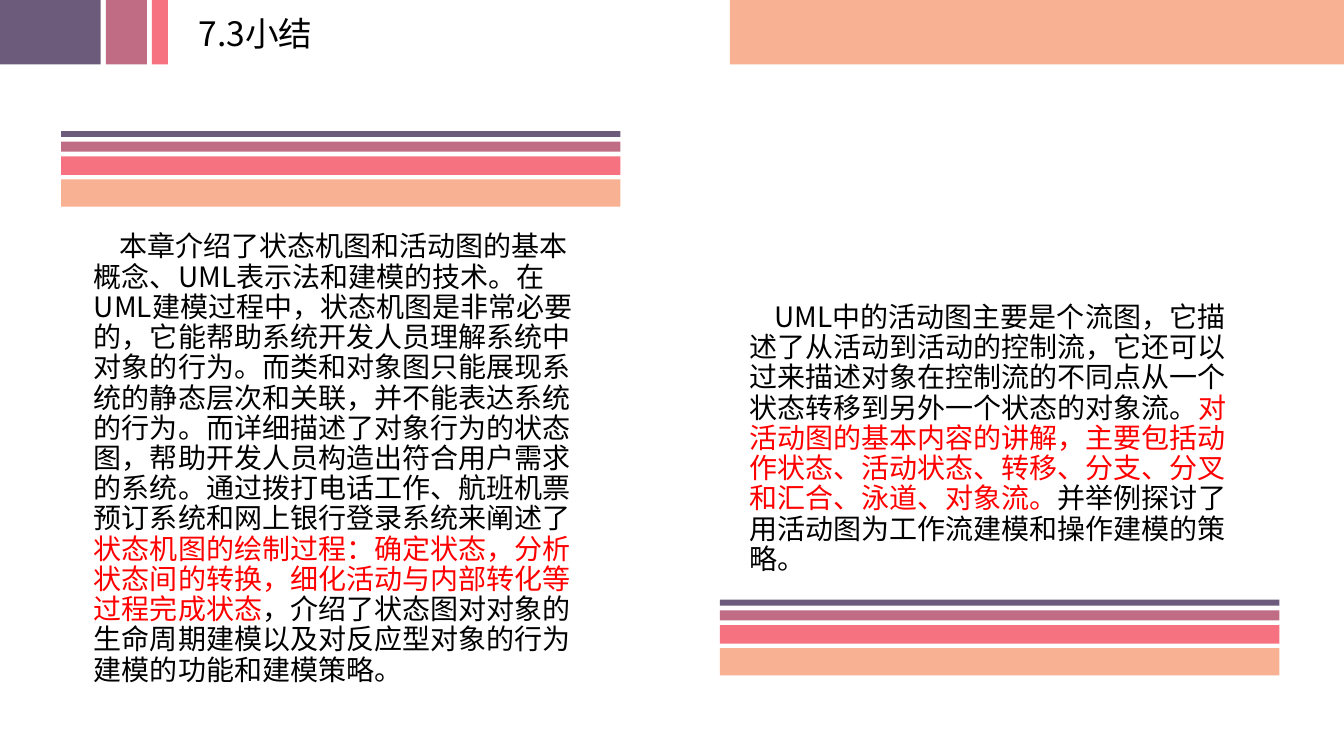
from dataclasses import dataclass
from typing import NamedTuple

from pptx import Presentation
from pptx import util as u
from pptx.dml import color
from pptx.enum import shapes, text
from pptx.oxml import ns


@dataclass(frozen=True)
class Theme:
    purple: str = "6C5B7B"
    mauve: str = "C06C84"
    pink: str = "F67280"
    peach: str = "F8B193"
    ink: str = "000000"
    accent: str = "FF0000"
    font: str = "Noto Sans CJK SC"
    title: int = 24
    body: int = 20


class Box(NamedTuple):
    col: float
    row: float
    cols: float
    rows: float


class Bar(NamedTuple):
    size: float
    fill: str


class Run(NamedTuple):
    words: str
    ink: str


class Summary(NamedTuple):
    box: Box
    stripes_col: float
    stripes_row: float
    runs: list[Run]


T = Theme()
COLS, ROWS = 160, 90
HEADER_ROWS, HEADER_GAP = 7.68, 0.6
STRIPE_COLS, STRIPE_GAP = 66.6, 0.55
TEXT_COLS = 62
INDENT_COLS = 3

HEADER = [Bar(12, T.purple), Bar(4.9, T.mauve), Bar(1.9, T.pink)]
STRIPES = [Bar(0.72, T.purple), Bar(1.2, T.mauve), Bar(2.2, T.pink), Bar(3.25, T.peach)]

SUMMARIES = [
    Summary(Box(10, 27.1, TEXT_COLS, 58.9), 7.27, 15.6, [
        Run("本章介绍了状态机图和活动图的基本概念、UML表示法和建模的技术。"
            "在UML建模过程中，状态机图是非常必要的，它能帮助系统开发人员理解系统中对象的行为。"
            "而类和对象图只能展现系统的静态层次和关联，并不能表达系统的行为。"
            "而详细描述了对象行为的状态图，帮助开发人员构造出符合用户需求的系统。"
            "通过拨打电话工作、航班机票预订系统和网上银行登录系统来阐述了", T.ink),
        Run("状态机图的绘制过程：确定状态，分析状态间的转换，"
            "细化活动与内部转化等过程完成状态", T.accent),
        Run("，介绍了状态图对对象的生命周期建模以及对反应型对象的行为建模的功能和建模策略。", T.ink),
    ]),
    Summary(Box(88, 35.5, TEXT_COLS, 37.2), 85.7, 71.4, [
        Run("UML中的活动图主要是个流图，它描述了从活动到活动的控制流，"
            "它还可以过来描述对象在控制流的不同点从一个状态转移到另外一个状态的对象流。", T.ink),
        Run("对活动图的基本内容的讲解，主要包括动作状态、活动状态、转移、分支、"
            "分叉和汇合、泳道、对象流。", T.accent),
        Run("并举例探讨了用活动图为工作流建模和操作建模的策略。", T.ink),
    ]),
]

prs = Presentation()
prs.slide_width, prs.slide_height = u.Inches(13.33), u.Inches(7.5)
s = prs.slides.add_slide(prs.slide_layouts[6])


def across(cols: float) -> int:
    return round(prs.slide_width * cols / COLS)


def down(rows: float) -> int:
    return round(prs.slide_height * rows / ROWS)


def place(box: Box) -> tuple[int, int, int, int]:
    return across(box.col), down(box.row), across(box.cols), down(box.rows)


def add_bar(box: Box, fill: str) -> None:
    sp = s.shapes.add_shape(shapes.MSO_SHAPE.RECTANGLE, *place(box))
    sp.shadow.inherit = False
    sp.fill.solid()
    sp.fill.fore_color.rgb = color.RGBColor.from_string(fill)
    sp.line.fill.background()


def add_header() -> None:
    col = 0.0
    for bar in HEADER:
        add_bar(Box(col, 0, bar.size, HEADER_ROWS), bar.fill)
        col += bar.size + HEADER_GAP
    add_bar(Box(86.9, 0, COLS - 86.9, HEADER_ROWS), T.peach)


def add_stripes(col: float, row: float) -> None:
    for bar in STRIPES:
        add_bar(Box(col, row, STRIPE_COLS, bar.size), bar.fill)
        row += bar.size + STRIPE_GAP


def add_text(box: Box, runs: list[Run], *, size: int, wrap: bool = True,
             indent: float = 0, spacing: float = 1, before: float = 0) -> None:
    tf = s.shapes.add_textbox(*place(box)).text_frame
    tf.word_wrap = wrap
    tf.auto_size = text.MSO_AUTO_SIZE.SHAPE_TO_FIT_TEXT
    p = tf.paragraphs[0]
    p.line_spacing = spacing
    p.space_before = u.Pt(before)
    p._p.get_or_add_pPr().set("indent", str(across(indent)))
    for run in runs:
        r = p.add_run()
        r.text = run.words
        r.font.size = u.Pt(size)
        r.font.name = T.font
        r.font.color.rgb = color.RGBColor.from_string(run.ink)
        ea = r._r.get_or_add_rPr().makeelement(ns.qn("a:ea"), {"typeface": T.font})
        r._r.rPr.find(ns.qn("a:latin")).addnext(ea)


add_header()
add_text(Box(22.44, 0.96, 18.6, 11.8), [Run("7.3小结", T.ink)], size=T.title, wrap=False)
for summary in SUMMARIES:
    add_stripes(summary.stripes_col, summary.stripes_row)
    add_text(summary.box, summary.runs, size=T.body, indent=INDENT_COLS,
             spacing=0.9, before=10)

prs.save("out.pptx")
